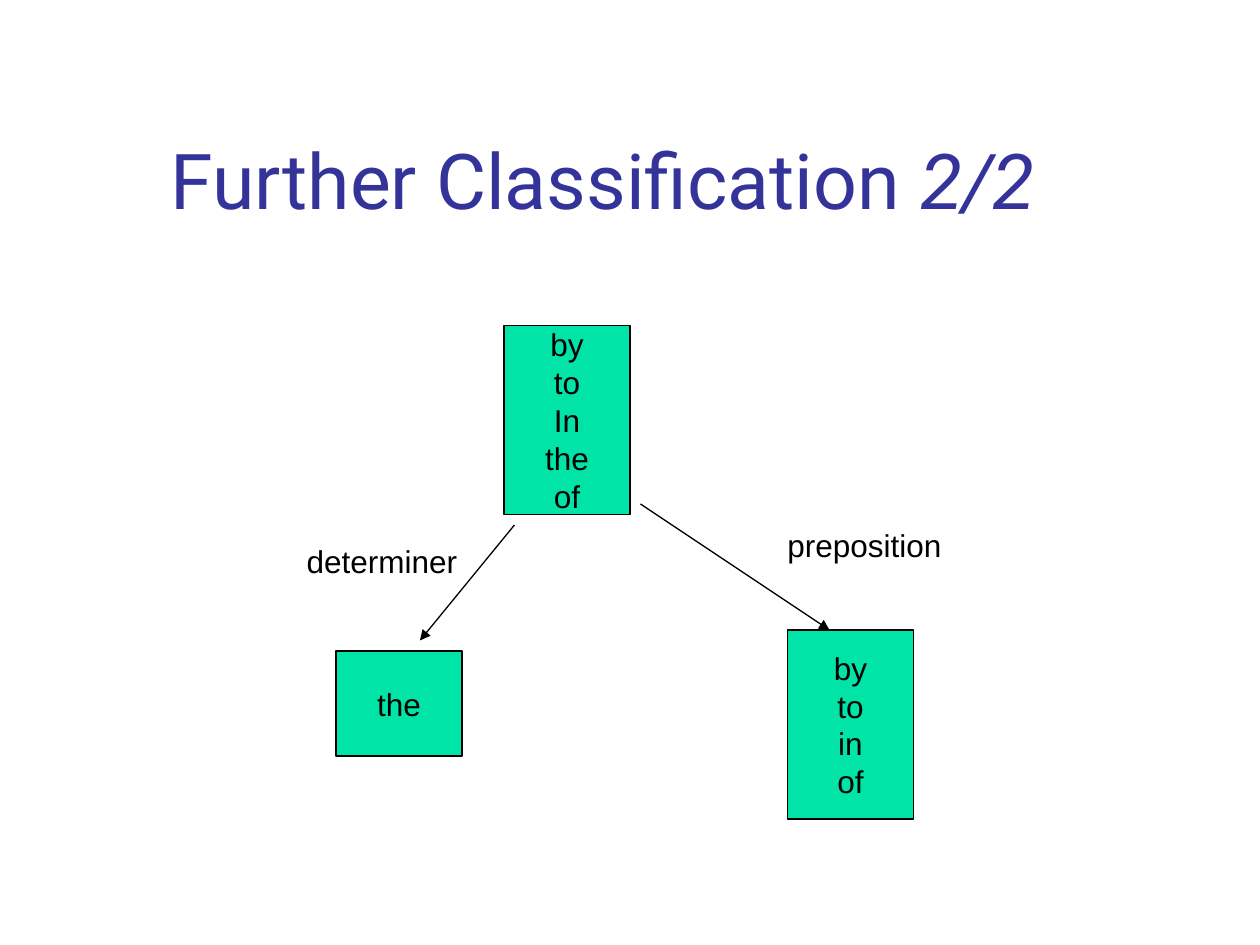
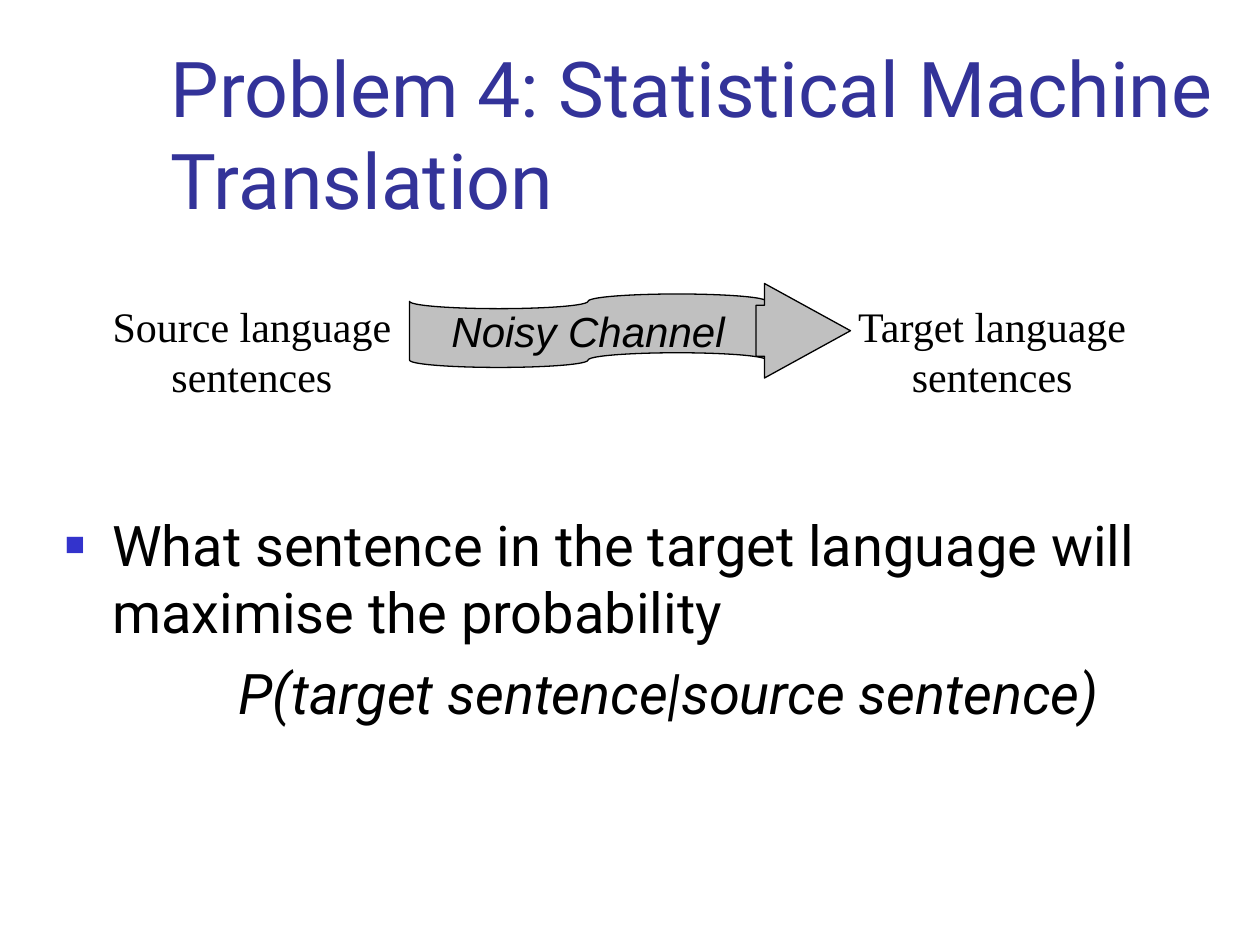
from pptx import Presentation
from pptx.dml.color import RGBColor
from pptx.enum.shapes import MSO_CONNECTOR, MSO_SHAPE
from pptx.enum.text import MSO_ANCHOR, MSO_AUTO_SIZE, PP_ALIGN
from pptx.oxml.ns import qn
from pptx.util import Pt
from lxml import etree

INDIGO = RGBColor(0x33, 0x33, 0x99)
BULLET_BLUE = RGBColor(0x33, 0x33, 0xCC)
GREEN = RGBColor(0x00, 0xE4, 0xA8)
GREY = RGBColor(0xC0, 0xC0, 0xC0)
BLACK = RGBColor(0x00, 0x00, 0x00)

STRAIGHT = MSO_CONNECTOR.STRAIGHT
RECTANGLE = MSO_SHAPE.RECTANGLE
PUNCHED_TAPE = MSO_SHAPE.FLOWCHART_PUNCHED_TAPE
RIGHT_ARROW = MSO_SHAPE.RIGHT_ARROW
TOP, MIDDLE, BOTTOM = MSO_ANCHOR.TOP, MSO_ANCHOR.MIDDLE, MSO_ANCHOR.BOTTOM
LEFT, CENTER = PP_ALIGN.LEFT, PP_ALIGN.CENTER
FIT_SHAPE = MSO_AUTO_SIZE.SHAPE_TO_FIT_TEXT

LINE_WIDTH = 0.75
BODY_INDENT = 27
FORMULA_INDENT = 99.2


class Deck:
    """Builds slides in one shared style on the current slide."""

    def __init__(self):
        self.presentation = Presentation()
        self.presentation.slide_width = Pt(720)
        self.presentation.slide_height = Pt(540)
        self.slide = None

    def add_slide(self, *title_runs):
        self.slide = self.presentation.slides.add_slide(self.presentation.slide_layouts[6])
        frame = self.text_frame(90.4, 16.9, 613.4, 115.2, anchor=BOTTOM)
        for text, italic in title_runs:
            self.run(frame.paragraphs[0], text, "Roboto", 44, INDIGO, italic)

    def text_frame(self, left, top, width, height, anchor=TOP, wrap=True):
        box = self.slide.shapes.add_textbox(Pt(left), Pt(top), Pt(width), Pt(height))
        frame = box.text_frame
        frame.word_wrap = wrap
        frame.vertical_anchor = anchor
        return frame

    def run(self, paragraph, text, font, size, color=BLACK, italic=False):
        run = paragraph.add_run()
        run.text = text
        run.font.name = font
        run.font.size = Pt(size)
        run.font.color.rgb = color
        run.font.italic = italic

    def label(self, text, left, top, width, height, font="Arial", size=18,
              align=LEFT, wrap=False):
        frame = self.text_frame(left, top, width, height, wrap=wrap)
        frame.auto_size = FIT_SHAPE
        frame.paragraphs[0].alignment = align
        self.run(frame.paragraphs[0], text, font, size)

    def shape(self, kind, left, top, width, height, fill, lines=(), size=18, italic=False):
        shape = self.slide.shapes.add_shape(kind, Pt(left), Pt(top), Pt(width), Pt(height))
        shape.shadow.inherit = False
        shape.fill.solid()
        shape.fill.fore_color.rgb = fill
        shape.line.color.rgb = BLACK
        shape.line.width = Pt(LINE_WIDTH)
        frame = shape.text_frame
        frame.word_wrap = False
        frame.vertical_anchor = MIDDLE
        for number, text in enumerate(lines):
            paragraph = frame.add_paragraph() if number else frame.paragraphs[0]
            paragraph.alignment = CENTER
            self.run(paragraph, text, "Arial", size, italic=italic)
        return shape

    def arrow(self, start, end):
        connector = self.slide.shapes.add_connector(
            STRAIGHT, *(Pt(value) for value in (*start, *end)))
        connector.line.color.rgb = BLACK
        connector.line.width = Pt(LINE_WIDTH)
        etree.SubElement(connector.line._get_or_add_ln(), qn("a:tailEnd"), type="triangle")
        etree.SubElement(connector._element.spPr, qn("a:effectLst"))

    def body(self, question, formula):
        frame = self.text_frame(30, 288, 648, 230.4)
        bullet = frame.paragraphs[0]
        properties = bullet._p.get_or_add_pPr()
        properties.set("marL", str(Pt(BODY_INDENT)))
        properties.set("indent", str(-Pt(BODY_INDENT)))
        color = etree.SubElement(properties, qn("a:buClr"))
        etree.SubElement(color, qn("a:srgbClr"), val=str(BULLET_BLUE))
        etree.SubElement(properties, qn("a:buSzPct"), val="60000")
        etree.SubElement(properties, qn("a:buFont"), typeface="Arial")
        etree.SubElement(properties, qn("a:buChar"), char="■")
        self.run(bullet, question, "Roboto", 32)
        expression = frame.add_paragraph()
        expression._p.get_or_add_pPr().set("marL", str(Pt(FORMULA_INDENT)))
        expression.space_before = Pt(8)
        self.run(expression, formula, "Roboto", 32, italic=True)


def add_classification(deck):
    deck.add_slide(("Further Classification ", False), ("2/2", True))
    deck.shape(RECTANGLE, 288, 186, 72, 108, GREEN, ("by", "to", "In", "the", "of"))
    deck.shape(RECTANGLE, 192, 372, 72, 60, GREEN, ("the",))
    deck.shape(RECTANGLE, 450, 360, 72, 108, GREEN, ("by", "to", "in", "of"))
    deck.arrow((294, 300), (240, 366))
    deck.arrow((366, 288), (474, 360))
    deck.label("determiner", 168.2, 306, 102, 28.8)
    deck.label("preposition", 442.8, 297, 104, 28.8)


def add_translation(deck):
    deck.add_slide(("Problem 4: Statistical Machine Translation", False))
    deck.body("What sentence in the target language will maximise the probability",
              "P(target sentence|source sentence)")
    deck.shape(PUNCHED_TAPE, 234, 168, 204, 42, GREY, ("Noisy Channel",), 24, True)
    arrow = deck.shape(RIGHT_ARROW, 432, 162, 54, 54, GREY)
    arrow.adjustments[0] = 0.54
    arrow.adjustments[1] = 0.91
    for side, left, width in (("Source", 54, 180), ("Target", 474, 186)):
        deck.label(f"{side} language sentences", left, 168, width, 64.8,
                   "Times New Roman", 24, CENTER, True)


def main():
    deck = Deck()
    add_classification(deck)
    add_translation(deck)
    deck.presentation.save("out.pptx")


if __name__ == "__main__":
    main()
